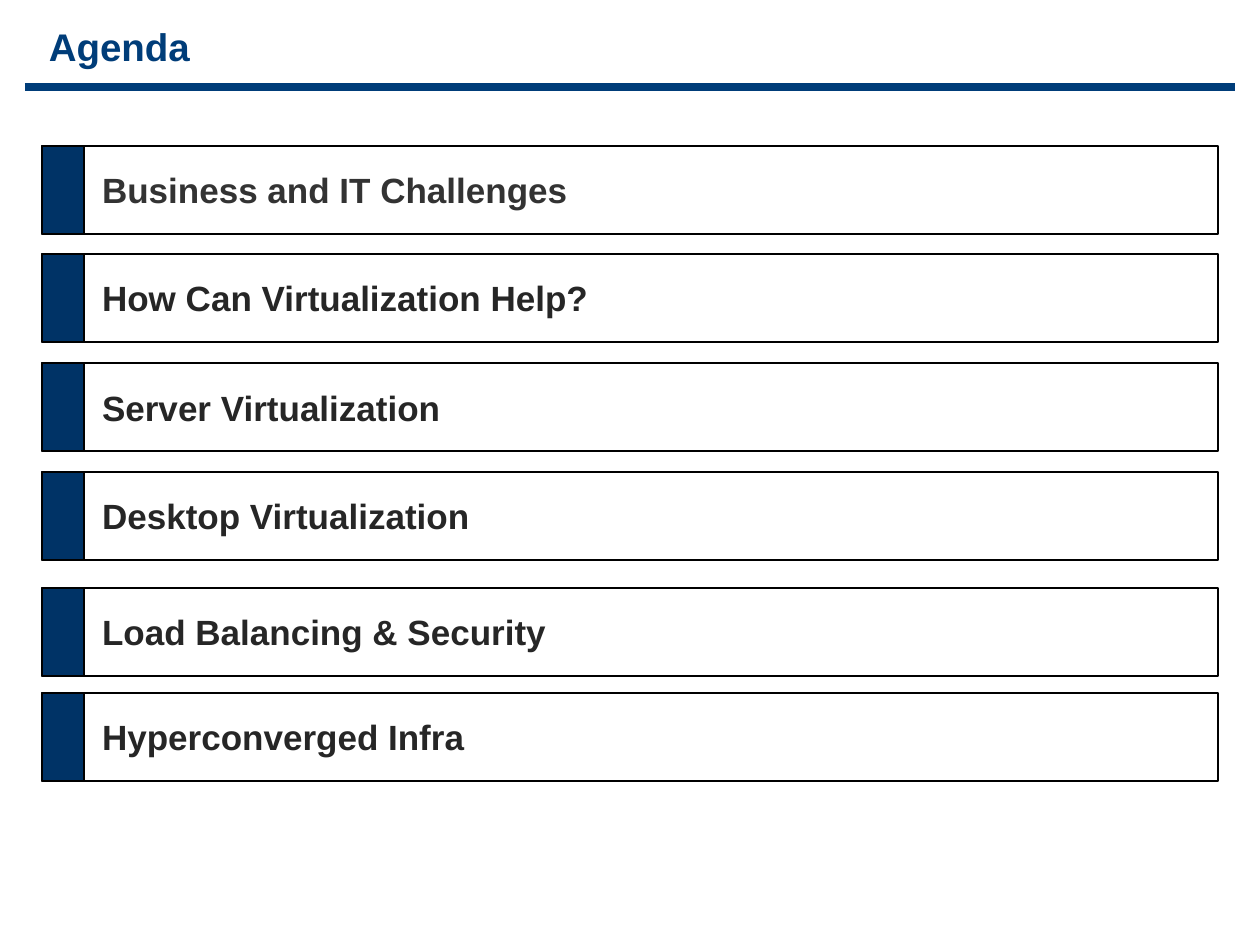
"""Build the agenda slide: a ruled title above six labelled bars."""
import pptx
import pptx.dml.color
import pptx.enum.shapes
import pptx.enum.text
import pptx.oxml
import pptx.util

TITLE = "Agenda"
AGENDA = [
    # topic, top in px, text colour, bar fill
    ("Business and IT Challenges", 146, "333333", None),
    ("How Can Virtualization Help?", 254, "262626", "FFFFFF"),
    ("Server Virtualization", 363, "262626", "FFFFFF"),
    ("Desktop Virtualization", 472, "262626", "FFFFFF"),
    ("Load Balancing & Security", 588, "262626", "FFFFFF"),
    ("Hyperconverged Infra", 693, "262626", "FFFFFF"),
]
BAR_LEFT, BAR_WIDTH, BAR_HEIGHT, TAB_WIDTH = 42, 1176, 88, 42
TEXT_INDENT = 48
NAVY, TAB_BLUE, BLACK = "003D79", "003366", "000000"


def px(length):
    return pptx.util.Emu(round(length * 914400 / 126))


def rgb(value):
    return pptx.dml.color.RGBColor.from_string(value)


def write(shape, text, size, color, insets):
    frame = shape.text_frame
    layout = dict(zip(("margin_left", "margin_top", "margin_right", "margin_bottom"), map(px, insets)))
    layout.update(word_wrap=True, vertical_anchor=pptx.enum.text.MSO_ANCHOR.MIDDLE)
    for key, value in layout.items():
        setattr(frame, key, value)
    paragraph = frame.paragraphs[0]
    paragraph.alignment = pptx.enum.text.PP_ALIGN.LEFT
    run = paragraph.add_run()
    run.text = text
    for key, value in {"name": "Arial", "size": pptx.util.Pt(size), "bold": True}.items():
        setattr(run.font, key, value)
    run.font.color.rgb = rgb(color)
    return paragraph


def add_box(parent, left, top, width, fill, line_width):
    box = parent.shapes.add_shape(
        pptx.enum.shapes.MSO_SHAPE.RECTANGLE, px(left), px(top), px(width), px(BAR_HEIGHT))
    box.shadow.inherit = False
    if fill:
        box.fill.solid()
        box.fill.fore_color.rgb = rgb(fill)
    else:
        box.fill.background()
    box.line.color.rgb = rgb(BLACK)
    box.line.width = pptx.util.Pt(line_width)
    return box


def add_rule(slide):
    rule = slide.shapes.add_connector(
        pptx.enum.shapes.MSO_CONNECTOR.STRAIGHT, px(25), px(87), px(1235), px(87))
    rule.line.color.rgb = rgb(NAVY)
    rule.line.width = pptx.util.Pt(4.11)
    properties = rule._element.spPr
    properties.append(properties.makeelement(pptx.oxml.ns.qn("a:effectLst"), {}))


def add_topic(slide, topic, top, color, fill):
    row = slide.shapes.add_group_shape()
    bar = add_box(row, BAR_LEFT, top, BAR_WIDTH, fill, 1.5)
    paragraph = write(bar, topic, 20, color, (12, 6, 12, 6))
    paragraph.space_after = pptx.util.Pt(12)
    paragraph._p.get_or_add_pPr().set("marL", str(px(TEXT_INDENT)))
    add_box(row, BAR_LEFT, top, TAB_WIDTH, TAB_BLUE, 0.75)


def main():
    deck = pptx.Presentation()
    deck.slide_width, deck.slide_height = px(1260), px(945)
    slide = deck.slides.add_slide(deck.slide_layouts[6])
    add_rule(slide)
    title = slide.shapes.add_textbox(px(49), px(24), px(1171), px(45))
    write(title, TITLE, 22, NAVY, (0, 0, 0, 0))
    for entry in AGENDA:
        add_topic(slide, *entry)
    deck.save("out.pptx")


if __name__ == "__main__":
    main()
